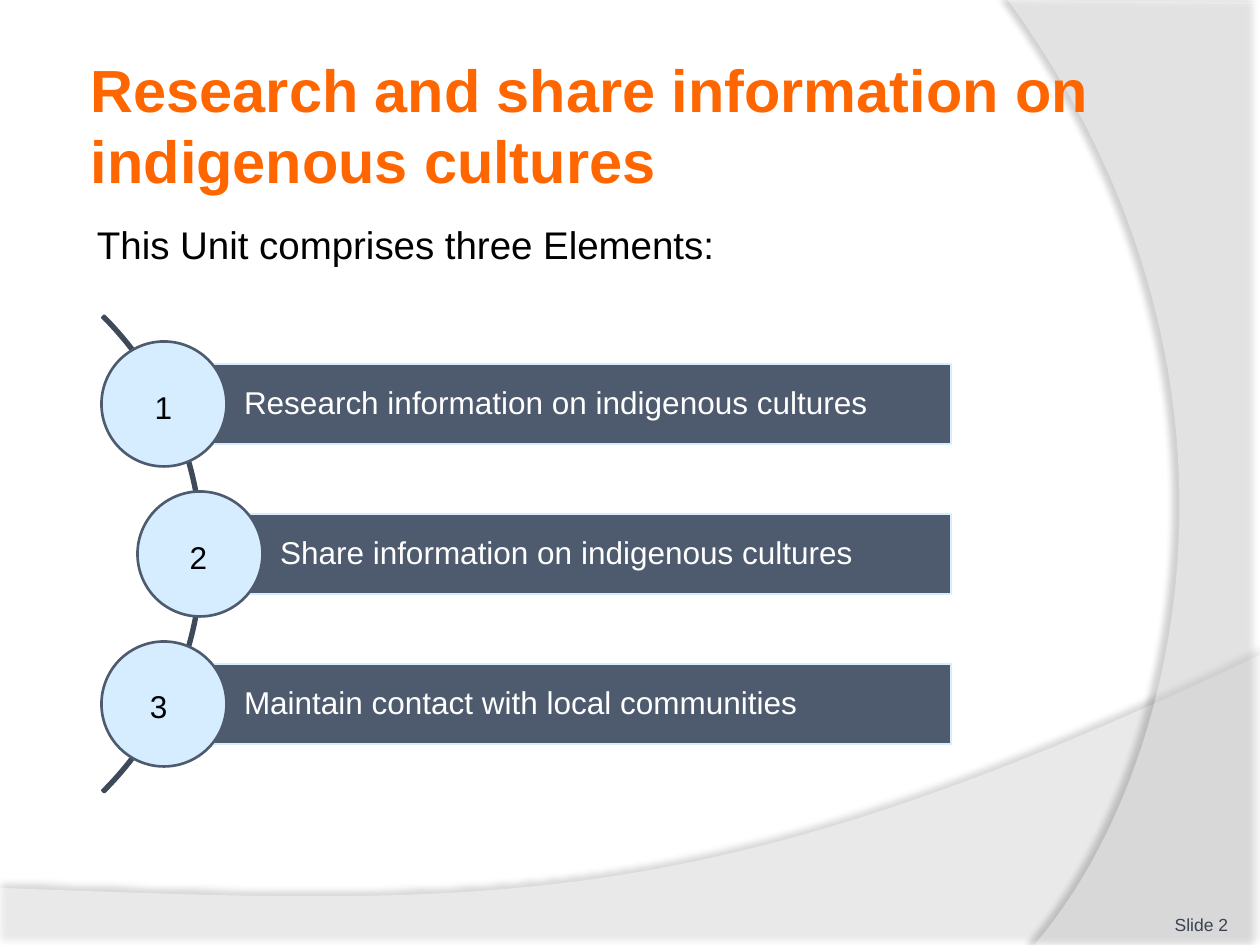
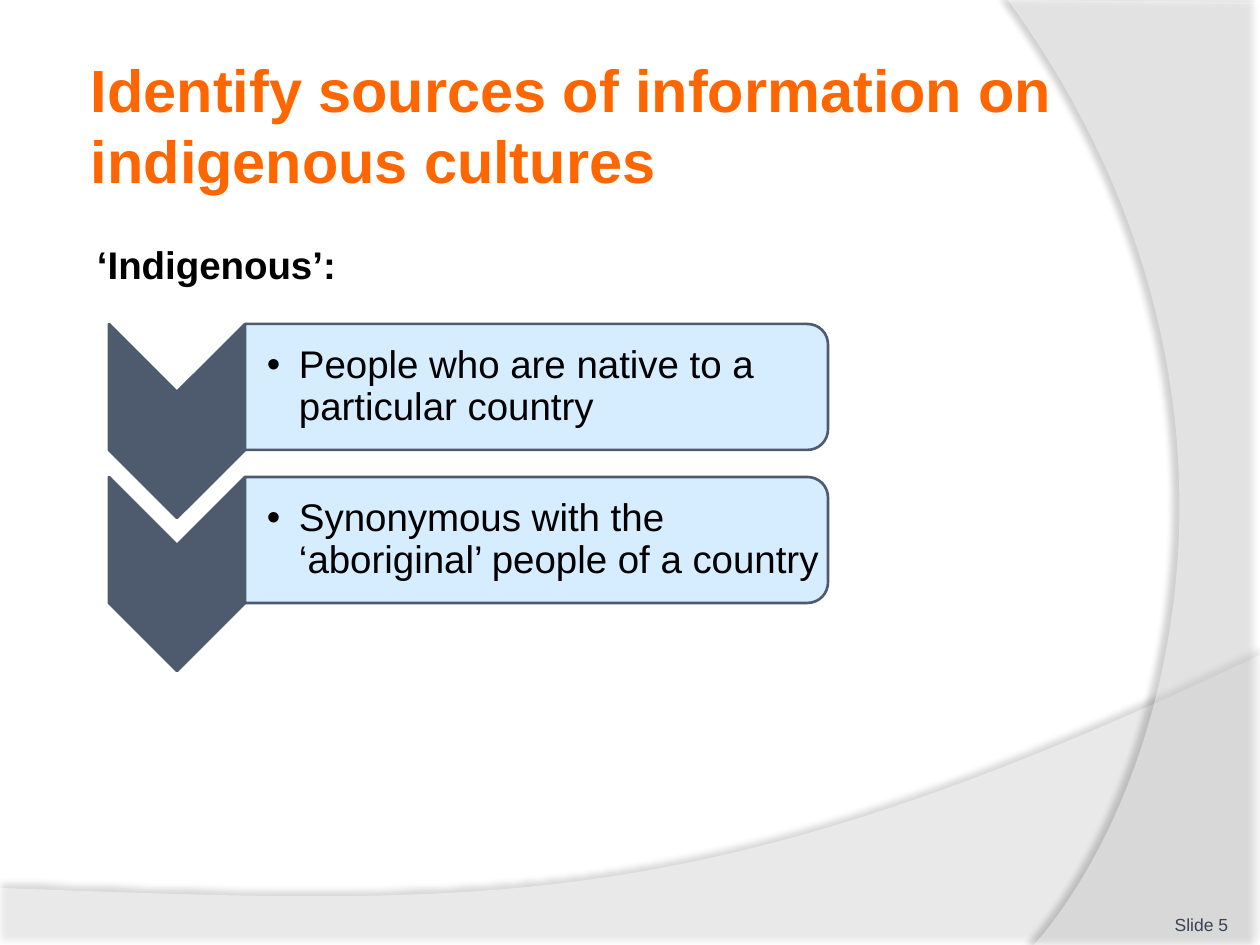
from dataclasses import dataclass

from lxml import etree
from pptx import Presentation
from pptx import util as u
from pptx.dml.color import RGBColor
from pptx.enum import shapes, text
from pptx.oxml import ns

ORANGE = RGBColor(0xFF, 0x66, 0x00)
SLATE = RGBColor(0x4E, 0x5B, 0x6F)
DARK_SLATE = RGBColor(0x3E, 0x49, 0x59)
FOOTER_SLATE = RGBColor(0x3A, 0x43, 0x52)
PALE_BLUE = RGBColor(0xD6, 0xEC, 0xFF)
WHITE = RGBColor(0xFF, 0xFF, 0xFF)
BLACK = RGBColor(0x00, 0x00, 0x00)

FONT = "Arial"
EMU_PER_PX = 914400 / 126
WIDTH, HEIGHT = 1260, 945
LEAD_BOTTOM = 838
LINE_WIDTH = u.Pt(1.5)


@dataclass(frozen=True)
class Curve:
    """A cubic Bezier segment from the point before it."""
    control_1: tuple
    control_2: tuple
    end: tuple


@dataclass(frozen=True)
class Band:
    outline: list
    opacity: int
    shadow_opacity: int
    shadow_distance: float
    shadow_angle: int


@dataclass(frozen=True)
class Element:
    label: str
    bar_left: int
    number_left: int
    number_top: int


BANDS = [
    Band([(0, 888), (0, HEIGHT), (WIDTH, HEIGHT), (WIDTH, 655),
          Curve((704, 919), (493, 906), (0, 888))], 45, 35, 3.5, 270),
    Band([(WIDTH, 2), (WIDTH, HEIGHT), (1034, HEIGHT),
          Curve((1178, 780), (1283, 378), (1008, 0))], 40, 45, 4, 180),
]

ELEMENTS = [
    Element("Research information on indigenous cultures", 164, 129, 382),
    Element("Share information on indigenous cultures", 200, 164, 532),
    Element("Maintain contact with local communities", 164, 124, 681),
]
BAR_TOP, BAR_PITCH, BAR_HEIGHT, BAR_RIGHT = 364, 150, 80, 951
CIRCLE = 125

MEANINGS = [
    "People who are native to a particular country",
    "Synonymous with the ‘aboriginal’ people of a country",
]
CHEVRON_LEFT, CHEVRON_WIDTH, CHEVRON_DEPTH = 109, 136, 68
PANEL_TOP, PANEL_PITCH, PANEL_HEIGHT, PANEL_RIGHT = 324, 153, 126, 828
CORNER, CORNER_CONTROL = 21, 9


def px(value: float) -> u.Emu:
    return u.Emu(round(value * EMU_PER_PX))


def box(left, top, width, height) -> tuple:
    return px(left), px(top), px(width), px(height)


def add_outline(s, outline: list):
    """A closed freeform; each Curve in the outline becomes a Bezier segment."""
    ends = [part.end if isinstance(part, Curve) else part for part in outline]
    scaled = [(px(x), px(y)) for x, y in ends]
    builder = s.shapes.build_freeform(*scaled[0], scale=1.0)
    builder.add_line_segments(scaled[1:], close=True)
    sp = builder.convert_to_shape()
    lines = sp._element.findall(".//" + ns.qn("a:lnTo"))
    for part, line in zip(outline[1:], lines):
        if isinstance(part, Curve):
            line.tag = ns.qn("a:cubicBezTo")
            for i, (x, y) in enumerate((part.control_1, part.control_2)):
                point = etree.Element(ns.qn("a:pt"), x=str(px(x) - sp.left),
                                      y=str(px(y) - sp.top))
                line.insert(i, point)
    return sp


def paint(sp, fill: RGBColor | None, line: RGBColor | None) -> None:
    sp.shadow.inherit = False
    if fill is None:
        sp.fill.background()
    else:
        sp.fill.solid()
        sp.fill.fore_color.rgb = fill
    if line is None:
        sp.line.fill.background()
    else:
        sp.line.color.rgb = line
        sp.line.width = LINE_WIDTH


def set_alpha(color_parent, percent: int) -> None:
    color = color_parent.find(ns.qn("a:srgbClr"))
    etree.SubElement(color, ns.qn("a:alpha"), val=str(percent * 1000))


def write(sp, words: str, size: int, color: RGBColor, bold: bool = False,
          align=text.PP_ALIGN.LEFT, anchor=text.MSO_ANCHOR.TOP,
          insets: tuple = (13, 6, 13, 6)):
    """Fill the shape with one formatted paragraph and return it."""
    tf = sp.text_frame
    tf.text = words
    tf.word_wrap = True
    tf.auto_size = text.MSO_AUTO_SIZE.NONE
    tf.vertical_anchor = anchor
    tf.margin_left, tf.margin_top, tf.margin_right, tf.margin_bottom = map(px, insets)
    p = tf.paragraphs[0]
    p.alignment = align
    font = p.runs[0].font
    font.name, font.size, font.bold = FONT, u.Pt(size), bold
    font.color.rgb = color
    return p


def add_band(s, band: Band) -> None:
    sp = add_outline(s, band.outline)
    paint(sp, WHITE, None)
    properties = sp._element.spPr
    set_alpha(properties.find(ns.qn("a:solidFill")), band.opacity)
    shadow = etree.SubElement(
        properties.find(ns.qn("a:effectLst")), ns.qn("a:outerShdw"),
        blurRad=str(u.Pt(4)), dist=str(u.Pt(band.shadow_distance)),
        dir=str(band.shadow_angle * 60000), algn="ctr", rotWithShape="0")
    etree.SubElement(shadow, ns.qn("a:srgbClr"), val=str(BLACK))
    set_alpha(shadow, band.shadow_opacity)


def add_slide(prs, title: str, lead: str, lead_top: int, lead_bold: bool, number: int):
    """A slide with the shared bands, title, lead line and footer."""
    s = prs.slides.add_slide(prs.slide_layouts[5])
    for band in BANDS:
        add_band(s, band)
    sp = s.shapes.title
    s.shapes._spTree.append(sp._element)
    sp.left, sp.top, sp.width, sp.height = box(84, 46, 1030, 157)
    write(sp, title, 34, ORANGE, bold=True, anchor=text.MSO_ANCHOR.MIDDLE,
          insets=(7, 6, 6, 6))
    write(s.shapes.add_textbox(*box(84, lead_top, 1030, LEAD_BOTTOM - lead_top)),
          lead, 22, BLACK, lead_bold)
    write(s.shapes.add_textbox(*box(1123, 885, 105, 50)), f"Slide {number}", 10,
          FOOTER_SLATE, align=text.PP_ALIGN.RIGHT, anchor=text.MSO_ANCHOR.BOTTOM,
          insets=(0, 0, 0, 0))
    return s


def add_elements(s) -> None:
    arc = s.shapes.add_shape(shapes.MSO_SHAPE.BLOCK_ARC, *box(-471, 217, 674, 674))
    for i, value in enumerate((189, 27, 0.004)):
        arc.adjustments[i] = value
    paint(arc, None, DARK_SLATE)
    for i, element in enumerate(ELEMENTS):
        top = BAR_TOP + i * BAR_PITCH
        bar = s.shapes.add_shape(
            shapes.MSO_SHAPE.RECTANGLE,
            *box(element.bar_left, top, BAR_RIGHT - element.bar_left, BAR_HEIGHT))
        paint(bar, SLATE, PALE_BLUE)
        write(bar, element.label, 18, WHITE, anchor=text.MSO_ANCHOR.MIDDLE,
              insets=(80, 6, 6, 6)).line_spacing = 0.9
        circle = s.shapes.add_shape(
            shapes.MSO_SHAPE.OVAL,
            *box(element.bar_left - CIRCLE / 2, top + (BAR_HEIGHT - CIRCLE) / 2,
                 CIRCLE, CIRCLE))
        paint(circle, PALE_BLUE, SLATE)
    for i, element in enumerate(ELEMENTS, start=1):
        sp = s.shapes.add_textbox(*box(element.number_left, element.number_top, 69, 50))
        write(sp, str(i), 18, BLACK, align=text.PP_ALIGN.CENTER)


def add_bullet(p, indent: int) -> None:
    properties = p._p.get_or_add_pPr()
    properties.set("marL", str(px(indent)))
    properties.set("indent", str(-px(indent)))
    etree.SubElement(properties, ns.qn("a:buFont"), typeface=FONT)
    etree.SubElement(properties, ns.qn("a:buChar"), char="•")


def add_meaning(s, words: str, top: int) -> None:
    """A downward chevron with a round-cornered panel at its right."""
    left, right = CHEVRON_LEFT, CHEVRON_LEFT + CHEVRON_WIDTH
    middle, bottom = left + CHEVRON_WIDTH / 2, top + PANEL_HEIGHT
    chevron = add_outline(s, [
        (right, top), (right, bottom), (middle, bottom + CHEVRON_DEPTH),
        (left, bottom), (left, top), (middle, top + CHEVRON_DEPTH)])
    paint(chevron, SLATE, SLATE)

    edge, inner, bend = PANEL_RIGHT, PANEL_RIGHT - CORNER, PANEL_RIGHT - CORNER_CONTROL
    panel = add_outline(s, [
        (right, top), (inner, top),
        Curve((bend, top), (edge, top + CORNER_CONTROL), (edge, top + CORNER)),
        (edge, bottom - CORNER),
        Curve((edge, bottom - CORNER_CONTROL), (bend, bottom), (inner, bottom)),
        (right, bottom)])
    paint(panel, PALE_BLUE, SLATE)
    p = write(panel, words, 22, BLACK, anchor=text.MSO_ANCHOR.MIDDLE, insets=(22, 8, 7, 8))
    p.line_spacing = 0.9
    add_bullet(p, 32)


def main() -> None:
    prs = Presentation()
    prs.slide_width, prs.slide_height = px(WIDTH), px(HEIGHT)

    s = add_slide(prs, "Research and share information on indigenous cultures",
                  "This Unit comprises three Elements:", 215, False, 2)
    add_elements(s)

    s = add_slide(prs, "Identify sources of information on indigenous cultures",
                  "‘Indigenous’:", 235, True, 5)
    for i, words in enumerate(MEANINGS):
        add_meaning(s, words, PANEL_TOP + i * PANEL_PITCH)

    prs.save("out.pptx")


if __name__ == "__main__":
    main()
